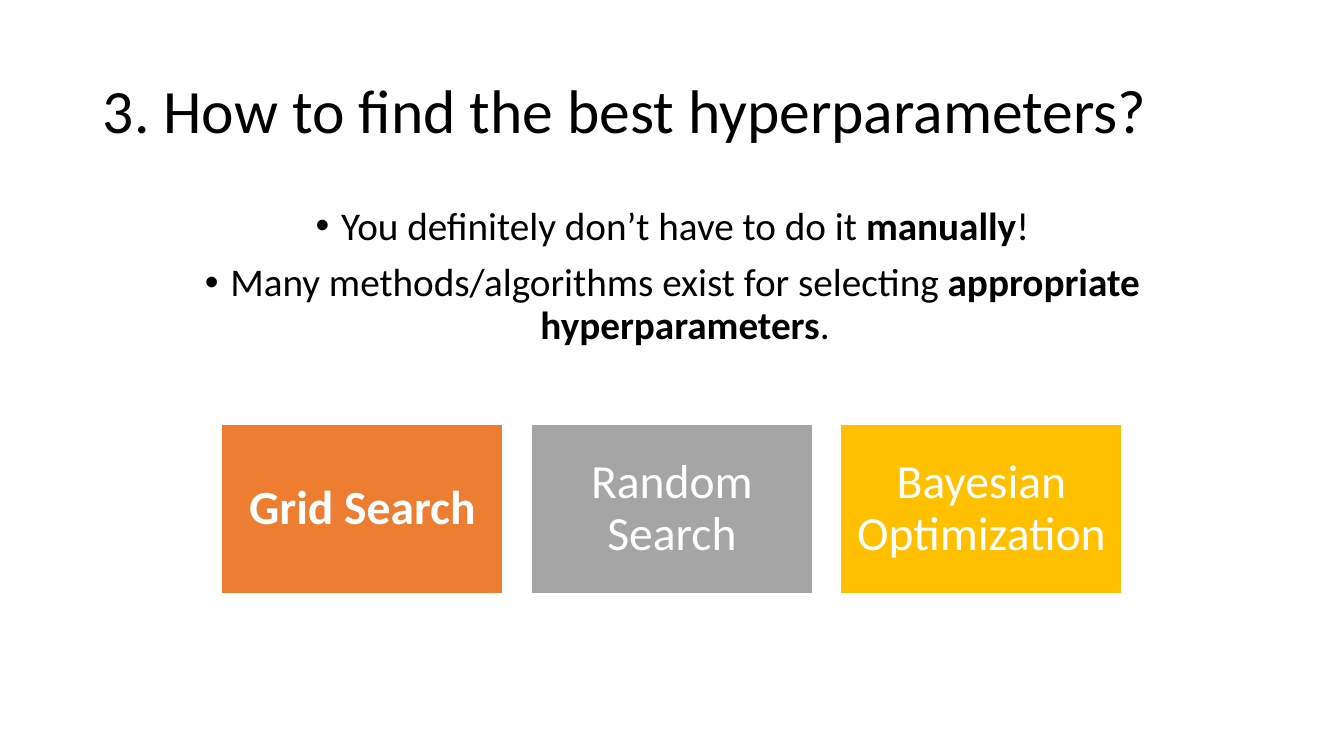
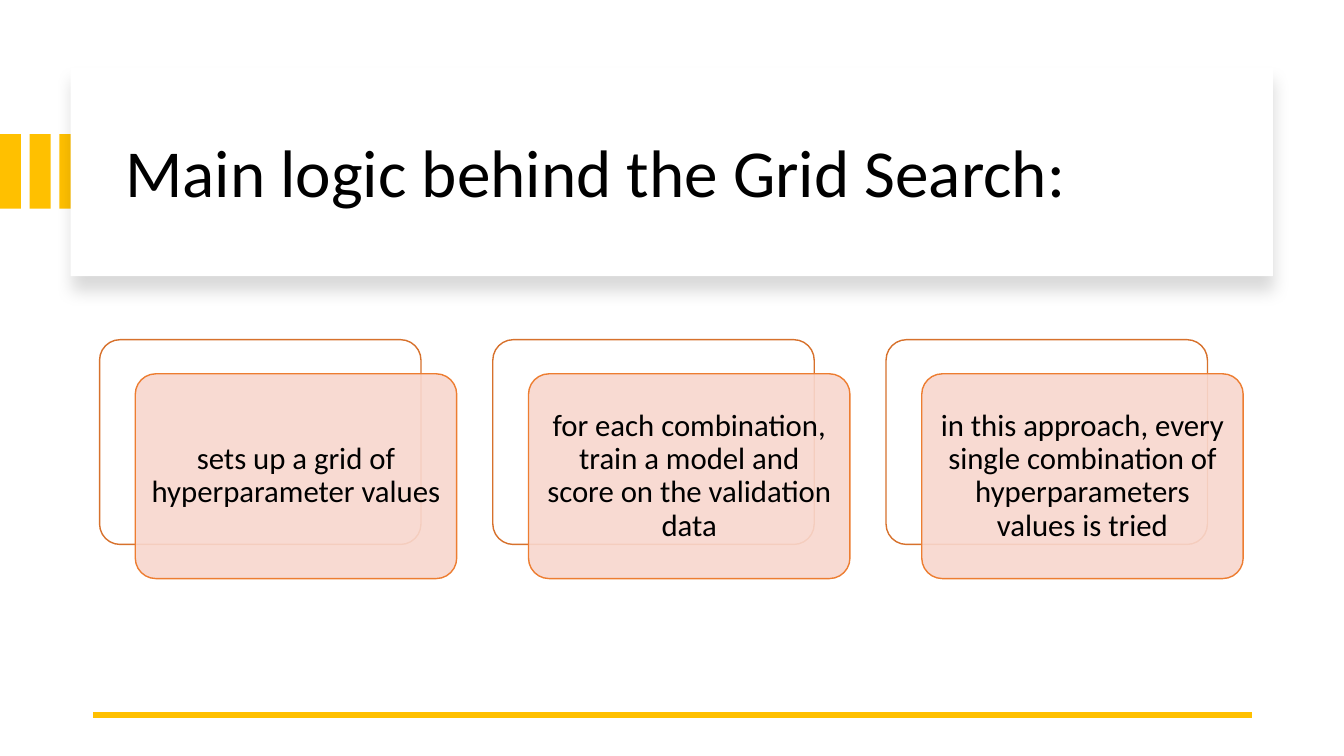
from lxml import etree
from pptx import Presentation
from pptx.dml.color import RGBColor
from pptx.enum.shapes import MSO_CONNECTOR, MSO_SHAPE
from pptx.enum.text import MSO_ANCHOR, MSO_AUTO_SIZE, PP_ALIGN
from pptx.oxml.ns import qn
from pptx.util import Cm, Pt

BLACK = RGBColor(0x00, 0x00, 0x00)
WHITE = RGBColor(0xFF, 0xFF, 0xFF)
ORANGE = RGBColor(0xED, 0x7D, 0x31)
DARK_ORANGE = RGBColor(0xD7, 0x71, 0x2C)
PEACH = RGBColor(0xF8, 0xD7, 0xCE)
GREY = RGBColor(0xA5, 0xA5, 0xA5)
GOLD = RGBColor(0xFF, 0xC0, 0x00)
FONT = "Calibri"

# Bullets are lists of (text, bold) runs; methods are (name, colour, bold).
METHODS_TITLE = "3. How to find the best hyperparameters?"
BULLETS = [
    [("You definitely don’t have to do it ", False), ("manually", True), ("!", False)],
    [("Many methods/algorithms exist for selecting ", False),
     ("appropriate hyperparameters", True), (".", False)],
]
METHODS = [
    ("Grid Search", ORANGE, True),
    ("Random Search", GREY, False),
    ("Bayesian Optimization", GOLD, False),
]
LOGIC_TITLE = "Main logic behind the Grid Search:"
STEPS = [
    "sets up a grid of hyperparameter values",
    "for each combination, train a model and score on the validation data",
    "in this approach, every single combination of hyperparameters values is tried",
]

# Boxes are (left, top, width, height) in centimetres.
METHODS_TITLE_BOX = (2.34, 1.02, 29.21, 3.68)
BULLETS_BOX = (2.34, 5.08, 29.21, 4.27)
METHOD_BOX, METHOD_PITCH = (5.59, 10.69, 7.09, 4.27), 7.8
STRIPE_BOX, STRIPE_PITCH, STRIPE_COUNT = (0, 3.38, 0.53, 1.88), 0.75, 3
PANEL_BOX = (1.78, 1.7, 30.3, 5.26)
LOGIC_TITLE_BOX = (2.9, 2.26, 28.27, 4.32)
STEP_BOX, STEP_PITCH = (2.51, 8.56, 8.1, 5.16), 9.91
STEP_OFFSET = (0.9, 0.86)
RULE_LEFT, RULE_RIGHT, RULE_TOP = 2.34, 31.55, 18.01


def shifted(box, right=0, down=0):
    left, top, width, height = box
    return left + right, top + down, width, height


def place(shape, box):
    for name, value in zip(("left", "top", "width", "height"), box):
        setattr(shape, name, Cm(value))


def write(paragraph, runs, size, color, align):
    paragraph.alignment = align
    paragraph.line_spacing = 0.9
    for text, bold in runs:
        run = paragraph.add_run()
        run.text = text
        run.font.color.rgb = color
        for name, value in {"name": FONT, "size": Pt(size), "bold": bold}.items():
            setattr(run.font, name, value)


def format_frame(frame, anchor, inset=None):
    values = {"word_wrap": True, "auto_size": MSO_AUTO_SIZE.NONE, "vertical_anchor": anchor}
    if inset is not None:
        sides = ("left", "top", "right", "bottom")
        values.update({f"margin_{side}": Cm(inset) for side in sides})
    for name, value in values.items():
        setattr(frame, name, value)


def set_title(slide, text, box, size):
    title = slide.shapes.title
    place(title, box)
    format_frame(title.text_frame, MSO_ANCHOR.MIDDLE)
    write(title.text_frame.paragraphs[0], [(text, False)], size, BLACK, PP_ALIGN.LEFT)
    slide.shapes._spTree.append(title._element)  # in front of what is drawn so far


def add_block(slide, box, fill, line=None, kind=MSO_SHAPE.RECTANGLE):
    block = slide.shapes.add_shape(kind, *map(Cm, box))
    block.fill.solid()
    block.fill.fore_color.rgb = fill
    if line is None:
        block.line.fill.background()
    else:
        block.line.color.rgb = line
        block.line.width = Pt(1)
    if kind == MSO_SHAPE.ROUNDED_RECTANGLE:
        block.adjustments[0] = 0.1
    block.shadow.inherit = False
    return block


def label(block, text, size, color, inset, bold=False):
    format_frame(block.text_frame, MSO_ANCHOR.MIDDLE, inset)
    write(block.text_frame.paragraphs[0], [(text, bold)], size, color, PP_ALIGN.CENTER)


def add_alpha(color_element, percent):
    etree.SubElement(color_element, qn("a:alpha"), val=str(percent * 1000))


def add_soft_shadow(block):
    effects = block._element.spPr.find(qn("a:effectLst"))
    shadow = etree.SubElement(
        effects, qn("a:outerShdw"), blurRad=str(Pt(11)), dist=str(Pt(10)),
        dir=str(90 * 60000), algn="t", rotWithShape="0")
    add_alpha(etree.SubElement(shadow, qn("a:srgbClr"), val=str(BLACK)), 15)


def add_rule(slide):
    rule = slide.shapes.add_connector(
        MSO_CONNECTOR.STRAIGHT, Cm(RULE_RIGHT), Cm(RULE_TOP), Cm(RULE_LEFT), Cm(RULE_TOP))
    rule.line.color.rgb = GOLD
    rule.line.width = Pt(4.5)
    etree.SubElement(rule._element.spPr, qn("a:effectLst"))


def build_methods(prs):
    slide = prs.slides.add_slide(prs.slide_layouts[1])
    set_title(slide, METHODS_TITLE, METHODS_TITLE_BOX, 44)

    body = slide.placeholders[1]
    place(body, BULLETS_BOX)
    frame = body.text_frame
    format_frame(frame, MSO_ANCHOR.TOP)
    for i, runs in enumerate(BULLETS):
        paragraph = frame.add_paragraph() if i else frame.paragraphs[0]
        properties = paragraph._p.get_or_add_pPr()
        properties.set("marL", str(Cm(0.64)))
        properties.set("indent", str(Cm(-0.64)))
        paragraph.space_before = Pt(10 if i else 0)
        write(paragraph, runs, 28, BLACK, PP_ALIGN.CENTER)

    for i, (name, color, bold) in enumerate(METHODS):
        card = add_block(slide, shifted(METHOD_BOX, i * METHOD_PITCH), color, WHITE)
        label(card, name, 34, WHITE, 0.36, bold)


def build_logic(prs):
    slide = prs.slides.add_slide(prs.slide_layouts[5])
    for i in range(STRIPE_COUNT):
        add_block(slide, shifted(STRIPE_BOX, i * STRIPE_PITCH), GOLD)
    add_soft_shadow(add_block(slide, PANEL_BOX, WHITE))
    set_title(slide, LOGIC_TITLE, LOGIC_TITLE_BOX, 48)
    add_rule(slide)

    rounded = MSO_SHAPE.ROUNDED_RECTANGLE
    for i, step in enumerate(STEPS):
        back_box = shifted(STEP_BOX, i * STEP_PITCH)
        add_block(slide, back_box, WHITE, DARK_ORANGE, rounded)
        card = add_block(slide, shifted(back_box, *STEP_OFFSET), PEACH, ORANGE, rounded)
        add_alpha(card._element.spPr.find(qn("a:solidFill")).find(qn("a:srgbClr")), 90)
        label(card, step, 22, BLACK, 0.23)


def main():
    prs = Presentation()
    prs.slide_width, prs.slide_height = Cm(33.87), Cm(19.05)
    build_methods(prs)
    build_logic(prs)
    prs.save("out.pptx")


if __name__ == "__main__":
    main()
